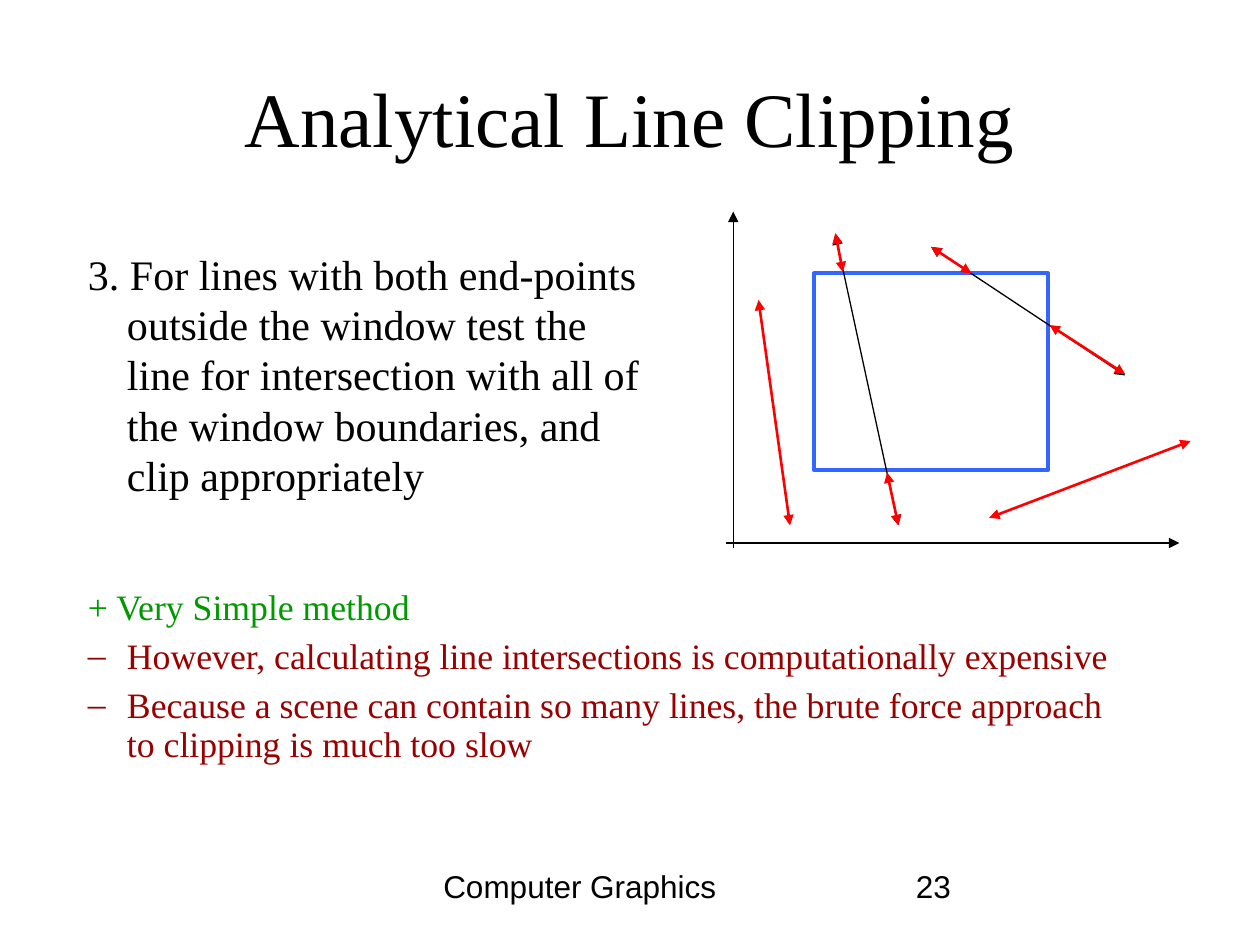
from lxml.etree import SubElement
from pptx import Presentation
from pptx.dml.color import RGBColor
from pptx.enum.shapes import MSO_CONNECTOR, MSO_SHAPE
from pptx.enum.text import MSO_ANCHOR, PP_ALIGN
from pptx.oxml.ns import qn
from pptx.util import Inches, Pt

COLORS = {"black": "000000", "green": "009900", "dark red": "990000",
          "red": "FF0000", "blue": "3366FF"}
SERIF, SANS = "Times New Roman", "Arial"

presentation = Presentation()
presentation.slide_width, presentation.slide_height = Inches(10), Inches(7.5)
slide = presentation.slides.add_slide(presentation.slide_layouts[5])


def add_text(left, top, width, height, lines, size, font=SERIF, hanging=False, spacing=None):
    """Add a text box; each line is (text, color, bullet or None)."""
    box = slide.shapes.add_textbox(Inches(left), Inches(top), Inches(width), Inches(height))
    frame = box.text_frame
    frame.word_wrap = True
    for index, (text, color, bullet) in enumerate(lines):
        paragraph = frame.paragraphs[0] if index == 0 else frame.add_paragraph()
        paragraph.text = text
        properties = paragraph._p.get_or_add_pPr()
        if hanging:
            properties.set("marL", str(Inches(0.91)))
            properties.set("indent", str(Inches(-0.31)))
        if bullet:
            bullet_color = SubElement(properties, qn("a:buClr"))
            SubElement(bullet_color, qn("a:srgbClr"), val=COLORS[color])
            SubElement(properties, qn("a:buFont"), typeface=SERIF)
            SubElement(properties, qn("a:buChar"), char=bullet)
        if index:
            paragraph.space_before = Pt(6)
        if spacing:
            paragraph.line_spacing = spacing
        paragraph.font.name, paragraph.font.size = font, Pt(size)
        paragraph.font.color.rgb = RGBColor.from_string(COLORS[color])


def add_arrow(start, end, color, width, both_ends=True):
    arrow = slide.shapes.add_connector(
        MSO_CONNECTOR.STRAIGHT, *(Inches(value) for value in (*start, *end)))
    arrow.line.color.rgb = RGBColor.from_string(COLORS[color])
    arrow.line.width = Pt(width)
    line = arrow.line._get_or_add_ln()
    if both_ends:
        SubElement(line, qn("a:headEnd"), type="triangle")
    SubElement(line, qn("a:tailEnd"), type="triangle")
    SubElement(arrow._element.spPr, qn("a:effectLst"))


# Title
title = slide.shapes.title
title.left, title.top, title.width, title.height = (
    Inches(value) for value in (0.5, 0.3, 9, 1.25))
title.text_frame.text = "Analytical Line Clipping"
title.text_frame.vertical_anchor = MSO_ANCHOR.MIDDLE
paragraph = title.text_frame.paragraphs[0]
paragraph.alignment = PP_ALIGN.CENTER
paragraph.font.name, paragraph.font.size = SERIF, Pt(44)
paragraph.font.color.rgb = RGBColor.from_string(COLORS["black"])

# Step and its assessment
step = ("3. For lines with both end-points outside the window test the line for "
        "intersection with all of the window boundaries, and clip appropriately")
add_text(0, 1.92, 5.33, 2.45, [(step, "black", None)], 24, hanging=True)
add_text(0, 4.63, 9, 1.87, [
    ("+ Very Simple method", "green", None),
    ("However, calculating line intersections is computationally expensive", "dark red", "–"),
    ("Because a scene can contain so many lines, the brute force approach to clipping "
     "is much too slow", "dark red", "–"),
], 20.4, hanging=True, spacing=0.9)

# Axes
add_arrow((5.76, 4.31), (9.36, 4.31), "black", 0.75, both_ends=False)
add_arrow((5.82, 4.35), (5.82, 1.68), "black", 0.75, both_ends=False)

# Clip window
window = slide.shapes.add_shape(
    MSO_SHAPE.RECTANGLE, Inches(6.46), Inches(2.17), Inches(1.86), Inches(1.56))
window.shadow.inherit = False
window.fill.background()
window.line.color.rgb = RGBColor.from_string(COLORS["blue"])
window.line.width = Pt(2.25)

# Lines crossing the window
for start, end in [((7.39, 1.96), (8.93, 2.98)), ((6.63, 1.86), (7.13, 4.17))]:
    add_arrow(start, end, "black", 0.75)

# Lines and segments outside the window
for start, end in [
    ((9.45, 3.5), (7.85, 4.11)),
    ((6.02, 2.38), (6.27, 4.17)),
    ((6.63, 1.85), (6.69, 2.16)),
    ((7.04, 3.75), (7.13, 4.17)),
    ((8.33, 2.58), (8.93, 2.97)),
    ((7.39, 1.96), (7.71, 2.17)),
]:
    add_arrow(start, end, "red", 1.5)

# Footer and slide number
add_text(3.42, 6.83, 3.16, 0.51, [("Computer Graphics", "black", None)], 18, SANS)
add_text(7.17, 6.83, 2.33, 0.51, [("23", "black", None)], 18, SANS)

presentation.save("out.pptx")
